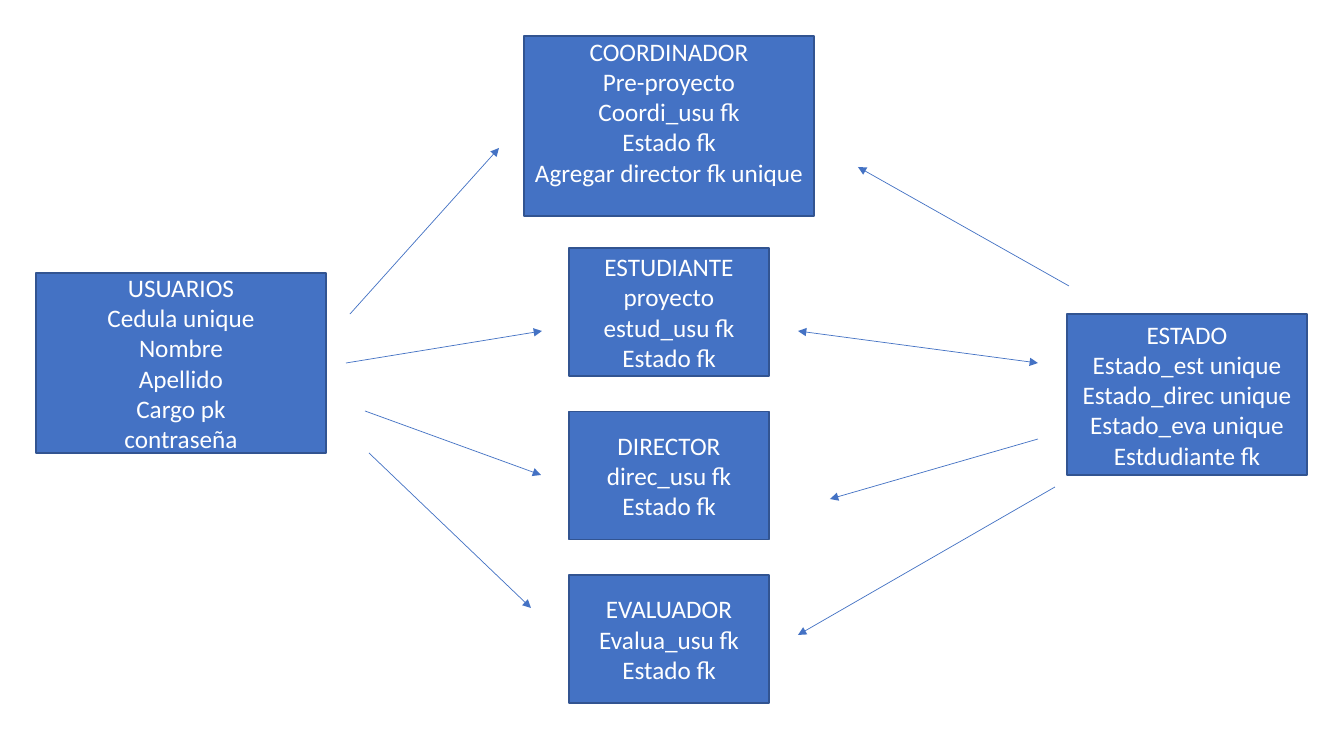
from lxml import etree
from pptx import Presentation
from pptx.dml.color import RGBColor
from pptx.enum.shapes import MSO_CONNECTOR, MSO_SHAPE
from pptx.enum.text import MSO_ANCHOR as Anchor, PP_ALIGN as Align
from pptx.oxml.ns import qn
from pptx.util import Pt

EMU_PER_PIXEL = 12192000 / 1344
BLUE, DARK_BLUE, WHITE = "4472C4", "325491", "FFFFFF"


def px(pixels):
    """Turn whole pixels into EMU."""
    return round(pixels * EMU_PER_PIXEL)


def color(hex_text):
    """Turn a hex string into a colour."""
    return RGBColor.from_string(hex_text)


presentation = Presentation()
presentation.slide_width, presentation.slide_height = px(1344), px(756)
slide = presentation.slides.add_slide(presentation.slide_layouts[6])

# Entities: left, top, width, height, anchor, lines
ROLE_LEFT, ROLE_WIDTH, ROLE_HEIGHT = 569, 200, 128
entities = [
    (36, 273, 290, 180, Anchor.MIDDLE,
     ["USUARIOS", "Cedula unique", "Nombre", "Apellido", "Cargo pk", "contraseña"]),
    (1067, 314, 240, 161, Anchor.MIDDLE,
     ["ESTADO", "Estado_est unique", "Estado_direc unique", "Estado_eva unique",
      "Estdudiante fk"]),
    (524, 36, 290, 180, Anchor.TOP,
     ["COORDINADOR", "Pre-proyecto", "Coordi_usu fk", "Estado fk",
      "Agregar director fk unique"]),
]
roles = [
    ["ESTUDIANTE", "proyecto", "estud_usu fk", "Estado fk"],
    ["DIRECTOR", "direc_usu fk", "Estado fk"],
    ["EVALUADOR", "Evalua_usu fk", "Estado fk"],
]
for index, lines in enumerate(roles):
    top = 248 + 163.5 * index
    entities.append((ROLE_LEFT, top, ROLE_WIDTH, ROLE_HEIGHT, Anchor.MIDDLE, lines))

for left, top, width, height, anchor, lines in entities:
    shape = slide.shapes.add_shape(
        MSO_SHAPE.RECTANGLE, px(left), px(top), px(width), px(height))
    shape.shadow.inherit = False
    shape.fill.solid()
    shape.fill.fore_color.rgb = color(BLUE)
    shape.line.color.rgb = color(DARK_BLUE)
    shape.line.width = Pt(1)
    frame = shape.text_frame
    frame.word_wrap = True
    frame.vertical_anchor = anchor
    if anchor == Anchor.TOP:
        frame.margin_top = 0
    for index, line in enumerate(lines):
        paragraph = frame.add_paragraph() if index else frame.paragraphs[0]
        paragraph.alignment = Align.CENTER
        run = paragraph.add_run()
        run.text = line
        run.font.name = "Calibri"
        run.font.size = Pt(18)
        run.font.color.rgb = color(WHITE)

# Relations: start x, start y, end x, end y, ends with an arrowhead
relations = [
    (350, 314, 499, 148, ["tailEnd"]),
    (346, 363, 542, 331, ["tailEnd"]),
    (365, 411, 541, 475, ["tailEnd"]),
    (369, 453, 531, 608, ["tailEnd"]),
    (1069, 286, 858, 167, ["tailEnd"]),
    (1038, 439, 830, 499, ["tailEnd"]),
    (1055, 487, 798, 635, ["tailEnd"]),
    (1038, 363, 798, 331, ["headEnd", "tailEnd"]),
]
for start_x, start_y, end_x, end_y, arrowheads in relations:
    connector = slide.shapes.add_connector(
        MSO_CONNECTOR.STRAIGHT, px(start_x), px(start_y), px(end_x), px(end_y))
    connector.line.color.rgb = color(BLUE)
    connector.line.width = Pt(0.5)
    properties = connector.element.spPr
    line_element = properties.find(qn("a:ln"))
    for arrowhead in arrowheads:
        etree.SubElement(line_element, qn(f"a:{arrowhead}"), type="triangle")
    etree.SubElement(properties, qn("a:effectLst"))

presentation.save("out.pptx")
